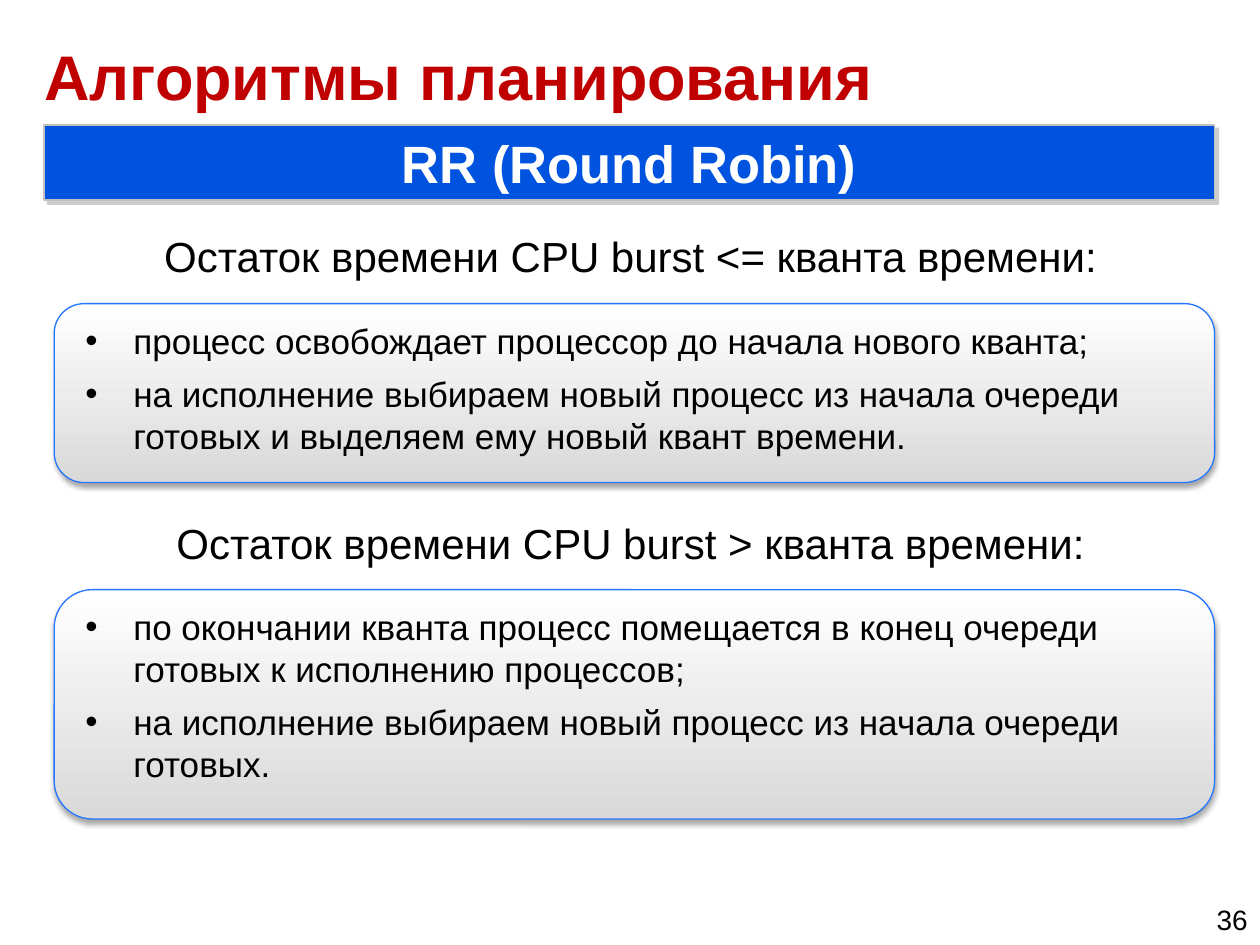
from dataclasses import dataclass

from lxml import etree
from pptx import Presentation
from pptx.dml.color import RGBColor
from pptx.enum.shapes import MSO_SHAPE
from pptx.enum.text import MSO_ANCHOR, MSO_AUTO_SIZE, PP_ALIGN
from pptx.oxml.ns import qn
from pptx.util import Inches, Pt

RECT, ROUND = MSO_SHAPE.RECTANGLE, MSO_SHAPE.ROUNDED_RECTANGLE
TOP, MID = MSO_ANCHOR.TOP, MSO_ANCHOR.MIDDLE
LEFT, CENTER, RIGHT = PP_ALIGN.LEFT, PP_ALIGN.CENTER, PP_ALIGN.RIGHT
NO_FIT = MSO_AUTO_SIZE.NONE


@dataclass
class Shade:
    color: str
    alpha: int
    blur: float
    dist: float
    angle: int


@dataclass
class Case:
    head: str
    head_top: float
    top: float
    height: float
    items: list[str]


CASES = [
    Case("Остаток времени CPU burst <= кванта времени:", 1.78, 2.41, 1.42, [
        "процесс освобождает процессор до начала нового кванта;",
        "на исполнение выбираем новый процесс из начала очереди "
        "готовых и выделяем ему новый квант времени.",
    ]),
    Case("Остаток времени CPU burst > кванта времени:", 4.06, 4.68, 1.82, [
        "по окончании кванта процесс помещается в конец очереди "
        "готовых к исполнению процессов;",
        "на исполнение выбираем новый процесс из начала очереди готовых.",
    ]),
]


def paint(target, color: str) -> None:
    target.rgb = RGBColor.from_string(color)


def apply(target, values: dict) -> None:
    for name, value in values.items():
        setattr(target, name, value)


def style(para, size: int, color: str = "000000", bold: bool = False) -> None:
    apply(para.font, {"name": "Arial", "size": Pt(size), "bold": bold})
    paint(para.font.color, color)


def setup(frame, anchor=TOP, side: float = 0.1, edge: float = 0.05) -> None:
    apply(frame, {
        "word_wrap": True, "auto_size": NO_FIT, "vertical_anchor": anchor,
        "margin_left": Inches(side), "margin_right": Inches(side),
        "margin_top": Inches(edge), "margin_bottom": Inches(edge),
    })


def write(frame, text: str, size: int, align, color: str = "000000",
          bold: bool = False) -> None:
    para = frame.paragraphs[0]
    para.text = text
    para.alignment = align
    style(para, size, color, bold)


def add_shade(shape, shade: Shade) -> None:
    shape.shadow.inherit = False
    effects = shape._element.spPr.find(qn("a:effectLst"))
    outer = etree.SubElement(effects, qn("a:outerShdw"), {
        "blurRad": str(Pt(shade.blur)), "dist": str(Pt(shade.dist)),
        "dir": str(shade.angle * 60000), "algn": "ctr", "rotWithShape": "0",
    })
    color = etree.SubElement(outer, qn("a:srgbClr"), val=shade.color)
    etree.SubElement(color, qn("a:alpha"), val=str(shade.alpha * 1000))


def add_form(slide, kind, box: tuple, line: str, width: float, shade: Shade):
    shape = slide.shapes.add_shape(kind, *map(Inches, box))
    paint(shape.line.color, line)
    shape.line.width = Pt(width)
    add_shade(shape, shade)
    return shape


def add_text(slide, box: tuple, anchor=TOP):
    frame = slide.shapes.add_textbox(*map(Inches, box)).text_frame
    setup(frame, anchor)
    return frame


def add_list(frame, items: list[str]) -> None:
    for i, item in enumerate(items):
        para = frame.add_paragraph() if i else frame.paragraphs[0]
        para.text = item
        props = para._p.get_or_add_pPr()
        indent = Inches(0.38)
        props.set("marL", str(indent))
        props.set("indent", str(-indent))
        etree.SubElement(props, qn("a:buFont"), typeface="Arial")
        etree.SubElement(props, qn("a:buChar"), char="•")
        para.alignment = LEFT
        if i:
            para.space_before = Pt(6)
        style(para, 20)


def add_case(slide, case: Case) -> None:
    panel = add_form(slide, ROUND, (0.43, case.top, 9.21, case.height),
                     "2475FF", 0.75, Shade("000000", 35, 3.1, 1.8, 90))
    panel.fill.gradient()
    panel.fill.gradient_angle = 270
    for i, color in enumerate(("FFFFFF", "D9D9D9")):
        stop = panel.fill.gradient_stops[i]
        stop.position = i
        paint(stop.color, color)
    body = add_text(slide, (0.58, case.top + 0.08, 8.58, case.height - 0.25))
    add_list(body, case.items)
    head = add_text(slide, (0.28, case.head_top, 9.45, 0.5))
    write(head, case.head, 24, CENTER)


def add_title(slide, text: str) -> None:
    title = slide.shapes.title
    apply(title, {"left": Inches(0.35), "top": Inches(0.26),
                  "width": Inches(9.29), "height": Inches(0.68)})
    setup(title.text_frame, MID, 0, 0)
    write(title.text_frame, text, 36, LEFT, "C00000", True)


def add_banner(slide, text: str) -> None:
    bar = add_form(slide, RECT, (0.35, 0.99, 9.29, 0.6), "C0C0C0", 1,
                   Shade("808080", 40, 0, 3, 45))
    bar.fill.solid()
    paint(bar.fill.fore_color, "0053DF")
    setup(bar.text_frame, MID, 0.24, 0.04)
    write(bar.text_frame, text, 30, CENTER, "FFFFFF", True)


def main() -> None:
    deck = Presentation()
    apply(deck, {"slide_width": Inches(10), "slide_height": Inches(7.5)})
    slide = deck.slides.add_slide(deck.slide_layouts[5])
    add_title(slide, "Алгоритмы планирования")
    add_banner(slide, "RR (Round Robin)")
    for case in CASES:
        add_case(slide, case)
    page = add_text(slide, (8.78, 7.1, 1.22, 0.4), MID)
    write(page, "36", 16, RIGHT)
    deck.save("out.pptx")


if __name__ == "__main__":
    main()
